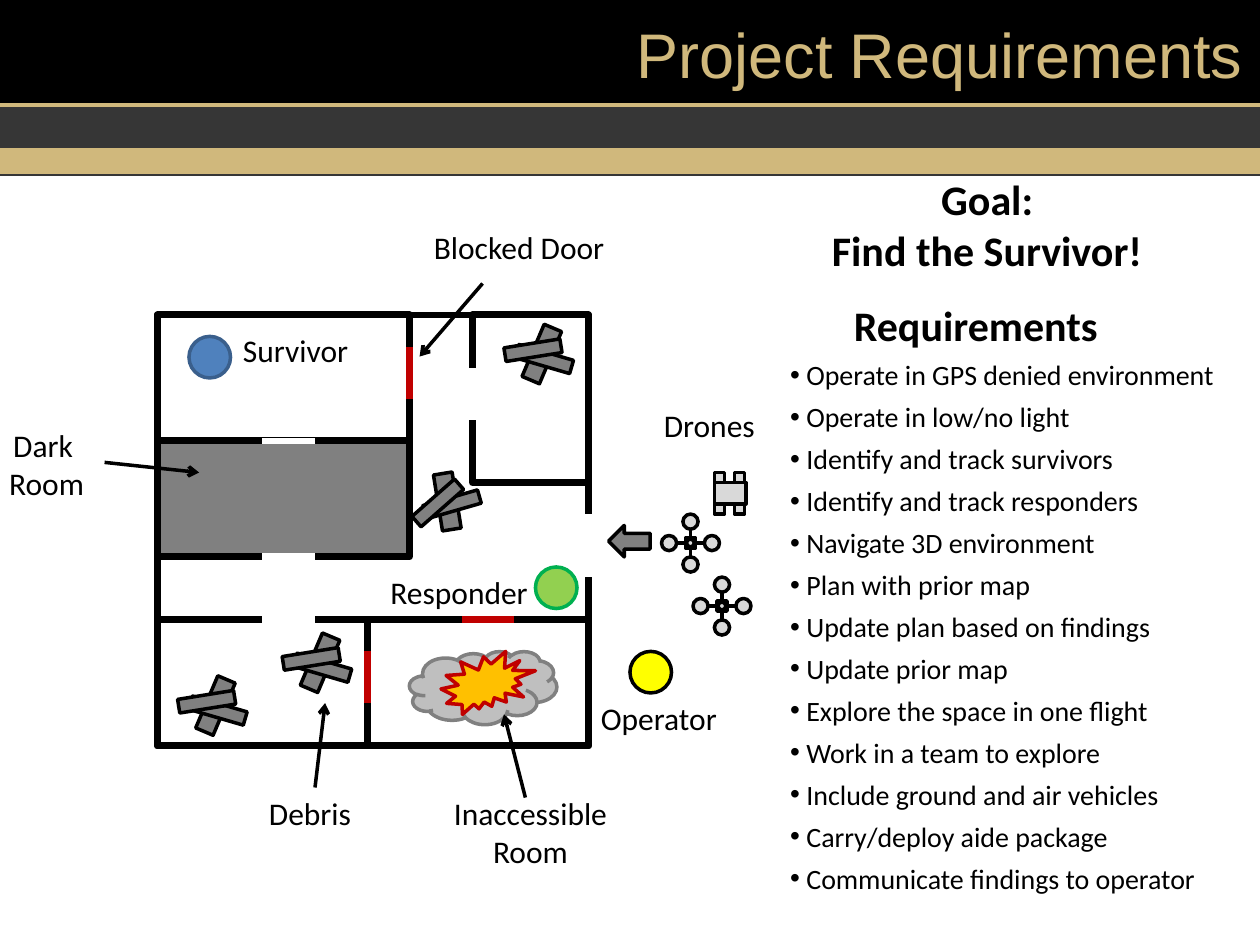
import math

import pptx
import pptx.dml.color
import pptx.enum.shapes
import pptx.enum.text
import pptx.oxml.ns
import pptx.util
from lxml import etree

SHAPE = pptx.enum.shapes.MSO_SHAPE
ALIGN = pptx.enum.text.PP_ALIGN
COLORS = {
    "black": "000000", "white": "FFFFFF", "gold": "D0B87C", "charcoal": "363636",
    "gray": "808080", "cloud": "BFBFBF", "drone": "D9D9D9", "blocked": "C00000",
    "blast": "FFC000", "survivor": "4F81BD", "survivor edge": "3A5F8C",
    "responder": "92D050", "responder edge": "00B050", "operator": "FFFF00",
}

# Content: all positions are in inches
TITLE = "Project Requirements"
REQUIREMENTS = [
    "Operate in GPS denied environment", "Operate in low/no light",
    "Identify and track survivors", "Identify and track responders",
    "Navigate 3D environment", "Plan with prior map",
    "Update plan based on findings", "Update prior map",
    "Explore the space in one flight", "Work in a team to explore",
    "Include ground and air vehicles", "Carry/deploy aide package",
    "Communicate findings to operator",
]
HEADINGS = [("Goal:\nFind the Survivor!", 6.17, 1.33, 3.33, 0.91),
            ("Requirements", 6.08, 2.33, 3.33, 0.5)]
SIDE_LABELS = [("Drones", 5.17, 3.17, 1.08, 0.4), ("Survivor", 1.83, 2.58, 1.08, 0.4),
               ("Responder", 3, 4.5, 1.42, 0.4), ("Operator", 4.67, 5.5, 1.42, 0.4)]
CALLOUTS = [  # label box, then arrow start and end
    (("Debris", 1.75, 6.25, 1.42, 0.4), (2.5, 6.25, 2.58, 5.58)),
    (("Inaccessible Room", 3.42, 6.25, 1.58, 0.71), (4.17, 6.33, 4, 5.67)),
    (("Blocked Door", 3.33, 1.76, 1.58, 0.4), (3.83, 2.25, 3.33, 2.83)),
    (("Dark \vRoom", -0.42, 3.33, 1.58, 0.71), (0.83, 3.67, 1.58, 3.75)),
]
ROOMS = [(1.25, 2.5, 3.42, 3.42), (1.25, 4.92, 1.67, 1), (1.25, 2.5, 2, 1.92),
         (2.92, 4.92, 1.75, 1), (3.75, 2.5, 0.92, 1.33), (1.25, 2.5, 2, 1)]
DOORS = {
    "white": [(4.67, 4.58, 4.67, 4.08), (3.75, 3.33, 3.75, 2.92)]
             + [(2.5, y, 2.08, y) for y in (3.5, 4.42, 4.92)],
    "blocked": [(3.25, 3.17, 3.25, 2.75), (4.08, 4.92, 3.67, 4.92), (2.92, 5.17, 2.92, 5.58)],
}
PEOPLE = [("survivor", "survivor edge", 1.5, 2.67),
          ("responder", "responder edge", 4.25, 4.5), ("operator", "black", 5, 5.17)]
PLANKS = [(0, 0, 0.15, 23), (0.02, 0.04, 0.11, 106.2), (-0.07, -0.03, 0.11, 80.9)]
DEBRIS = [(3.55, 3.98, -32.2), (4.3, 2.81, 0), (1.71, 5.6, 0), (2.54, 5.26, 0)]
DRONES = [(5.48, 4.31), (5.73, 4.81)]


def inches(value):
    return pptx.util.Cm(value * 2.54)


def rgb(name):
    return pptx.dml.color.RGBColor.from_string(COLORS[name])


def add_shape(kind, left, top, width, height, fill=None, line=None, weight=2):
    shape = slide.shapes.add_shape(kind, *map(inches, (left, top, width, height)))
    shape.shadow.inherit = False
    if fill:
        shape.fill.solid()
        shape.fill.fore_color.rgb = rgb(fill)
    else:
        shape.fill.background()
    if line:
        shape.line.color.rgb = rgb(line)
        shape.line.width = pptx.util.Pt(weight)
    else:
        shape.line.fill.background()
    return shape


def add_centred(kind, x, y, width, height, fill="drone"):
    return add_shape(kind, x - width / 2, y - height / 2, width, height, fill, "black")


def add_line(ends, color, weight, arrow=False):
    connector = slide.shapes.add_connector(
        pptx.enum.shapes.MSO_CONNECTOR.STRAIGHT, *map(inches, ends))
    connector.line.color.rgb = rgb(color)
    connector.line.width = pptx.util.Pt(weight)
    if arrow:
        line = connector.line._get_or_add_ln()
        etree.SubElement(line, pptx.oxml.ns.qn("a:tailEnd"), type="arrow")
    etree.SubElement(connector._element.spPr, pptx.oxml.ns.qn("a:effectLst"))


def format_text(text_frame, size, align, color="black", font="Calibri", bold=False):
    text_frame.word_wrap = True
    text_frame.auto_size = pptx.enum.text.MSO_AUTO_SIZE.NONE
    for paragraph in text_frame.paragraphs:
        paragraph.alignment = align
        for run in paragraph.runs:
            run.font.size, run.font.name, run.font.bold = pptx.util.Pt(size), font, bold
            run.font.color.rgb = rgb(color)


def add_label(label, size=18, align=ALIGN.CENTER, bold=False):
    text, *box = label
    text_frame = slide.shapes.add_textbox(*map(inches, box)).text_frame
    text_frame.text = text
    format_text(text_frame, size, align, bold=bold)


def place(shape, *box):
    shape.left, shape.top, shape.width, shape.height = map(inches, box)


presentation = pptx.Presentation()
presentation.slide_width, presentation.slide_height = inches(10), inches(7.5)
slide = presentation.slides.add_slide(presentation.slide_layouts[1])

# Header bands
add_shape(SHAPE.RECTANGLE, 0, 0, 10, 0.82, "black")
add_line((0, 0.84, 10, 0.84), "gold", 3)
add_shape(SHAPE.RECTANGLE, 0, 1.18, 10, 0.2, "gold", "gold")
add_shape(SHAPE.RECTANGLE, 0, 0.86, 10, 0.3, "charcoal", "charcoal")
add_line((0, 1.39, 10, 1.39), "charcoal", 0.75)

# Title, brought in front of the bands
title = slide.shapes.title
place(title, 3.38, 0.02, 6.58, 0.8)
title.text_frame.text = TITLE
title.text_frame.vertical_anchor = pptx.enum.text.MSO_ANCHOR.MIDDLE
format_text(title.text_frame, 36, ALIGN.RIGHT, "gold", "Arial")
slide.shapes._spTree.append(title._element)

# Floor plan
add_shape(SHAPE.RECTANGLE, 1.25, 3.5, 2, 0.92, "gray")
for room in ROOMS:
    add_shape(SHAPE.RECTANGLE, *room, line="black", weight=4)
for color, doors in DOORS.items():
    for door in doors:
        add_line(door, color, 4)
add_shape(SHAPE.CLOUD, 3.25, 5.17, 1.17, 0.58, "cloud", "gray")
add_shape(SHAPE.EXPLOSION2, 3.5, 5.17, 0.75, 0.5, "blast", "blocked")
for fill, edge, left, top in PEOPLE:
    add_shape(SHAPE.OVAL, left, top, 0.33, 0.33, fill, edge)

# Debris piles: the same three planks, turned about the pile
for x, y, turn in DEBRIS:
    cosine, sine = math.cos(math.radians(turn)), math.sin(math.radians(turn))
    for dx, dy, width, angle in PLANKS:
        plank = add_centred(SHAPE.RECTANGLE, x + dx * cosine - dy * sine,
                            y + dx * sine + dy * cosine, width, 0.45, "gray")
        plank.rotation = (angle + turn) % 360

# Air drones: cross frame, four rotors and a hub
for x, y in DRONES:
    frame = add_centred(SHAPE.CROSS, x, y, 0.38, 0.38)
    frame.adjustments[0] = 0.5
    for dx, dy in [(0, -1), (-1, 0), (0, 1), (1, 0)]:
        add_centred(SHAPE.OVAL, x + dx * 0.17, y + dy * 0.17, 0.12, 0.12)
    add_centred(SHAPE.RECTANGLE, x, y, 0.08, 0.08)
    add_centred(SHAPE.OVAL, x, y, 0.06, 0.06)

# Ground drone and entry arrow
add_shape(SHAPE.RECTANGLE, 5.67, 3.83, 0.25, 0.17, "drone", "black")
for left in (5.67, 5.83):
    for top in (3.75, 4):
        add_shape(SHAPE.RECTANGLE, left, top, 0.08, 0.08, "drone", "black")
add_shape(SHAPE.LEFT_ARROW, 4.83, 4.17, 0.33, 0.25, "gray", "black")

# Labels and callouts
for label in SIDE_LABELS:
    add_label(label, align=ALIGN.LEFT)
for label, arrow in CALLOUTS:
    add_label(label)
    add_line(arrow, "black", 2, arrow=True)
for heading in HEADINGS:
    add_label(heading, size=24, bold=True)

# Requirements list
body = slide.placeholders[1]
place(body, 6.17, 2.79, 3.83, 4.6)
body.text_frame.text = "\n".join(REQUIREMENTS)
format_text(body.text_frame, 16, ALIGN.LEFT)
for paragraph in body.text_frame.paragraphs:
    properties = paragraph._p.get_or_add_pPr()
    properties.set("marL", str(inches(0.13)))
    properties.set("indent", str(-inches(0.13)))
    paragraph.space_before = pptx.util.Pt(0)
    paragraph.space_after = pptx.util.Pt(4.8)

presentation.save("out.pptx")
